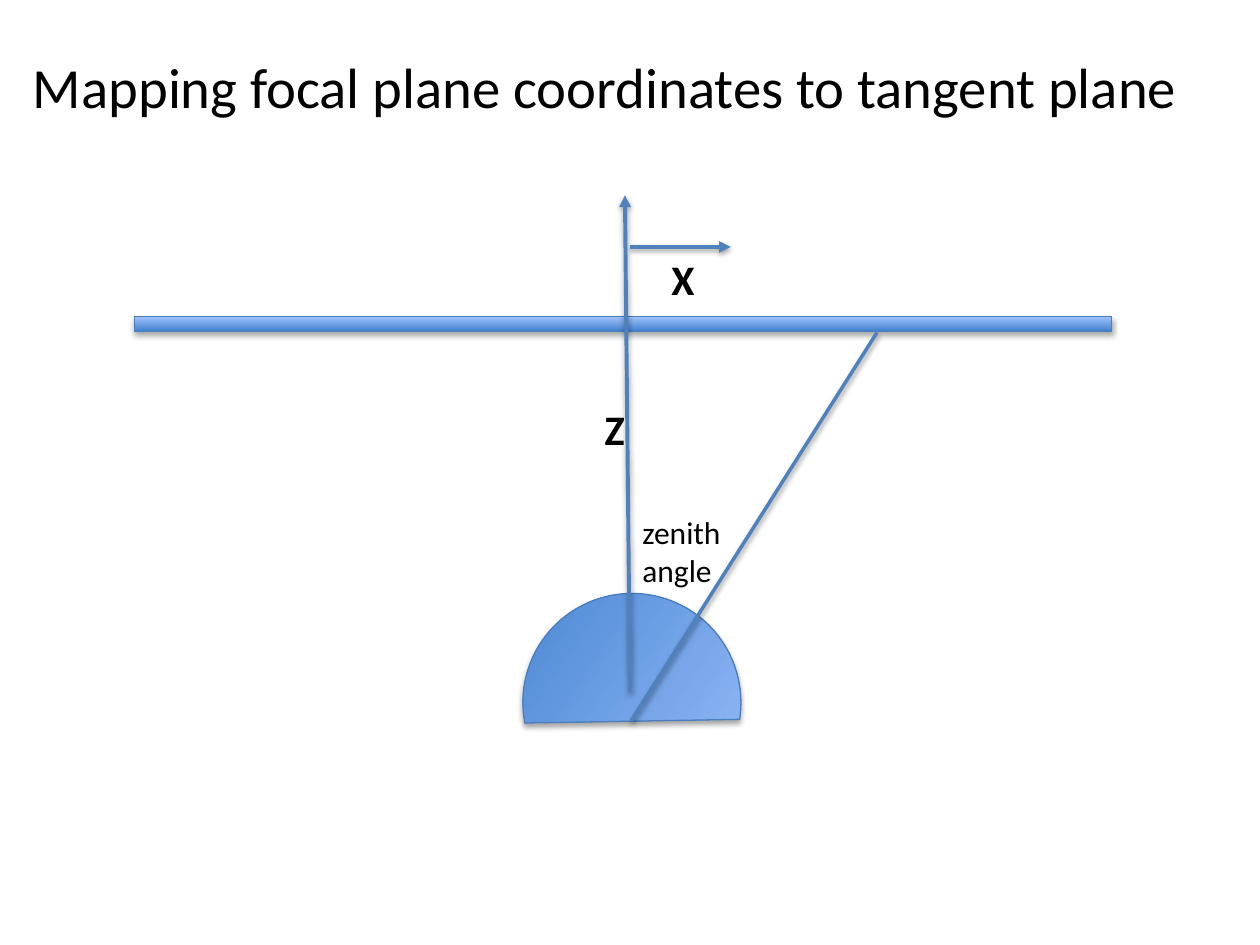
from lxml.etree import SubElement
from pptx import Presentation
from pptx.dml.color import RGBColor
from pptx.enum.shapes import MSO_CONNECTOR, MSO_SHAPE
from pptx.enum.text import MSO_ANCHOR, MSO_AUTO_SIZE, PP_ALIGN
from pptx.oxml.ns import qn
from pptx.util import Inches, Pt

FONT = "Calibri"
COLORS = {"text": "000000", "dark": "3F80CE", "light": "A4C4FF",
          "outline": "4B7EBC", "ray": "4F81BD", "shadow": "000000"}

# Content: places in inches
TITLE = ("Mapping focal plane coordinates to tangent plane", (0.13, 0.06, 9.34, 1.25), 32.4)
DOME = (MSO_SHAPE.CHORD, (4.15, 4.71, 1.73, 1.73), 124.1, (27, 146.895))
TANGENT_PLANE = (MSO_SHAPE.RECTANGLE, (1.07, 2.51, 7.75, 0.12), 0, ())
# start, end, width in points, arrowhead
Z_AXIS = ((5, 5.49), (4.96, 1.55), 2.25, True)
X_AXIS = ((5, 1.96), (5.8, 1.96), 2.25, True)
SIGHT_LINE = ((5.01, 5.72), (6.96, 2.64), 2, False)
# text, box, size in points, bold
Z_LABEL = ("Z", (4.7, 3.15, 0.36, 0.5), 24, True)
X_LABEL = ("X", (5.23, 1.96, 0.39, 0.5), 24, True)
ANGLE_LABEL = ("zenith\nangle", (5, 4.02, 0.84, 0.71), 18, False)


def color(name):
    return RGBColor.from_string(COLORS[name])


def inches(values):
    return [Inches(value) for value in values]


def add_shadow(shape, opacity, distance):
    effects = SubElement(shape._element.spPr, qn("a:effectLst"))
    shadow = SubElement(effects, qn("a:outerShdw"), blurRad=str(Pt(3.1)),
                        dist=str(Pt(distance)), dir="5400000", rotWithShape="0")
    tone = SubElement(shadow, qn("a:srgbClr"), val=COLORS["shadow"])
    SubElement(tone, qn("a:alpha"), val=str(opacity * 1000))


def add_body(slide, kind, box, rotation, adjustments):
    shape = slide.shapes.add_shape(kind, *inches(box))
    shape.rotation = rotation
    for index, value in enumerate(adjustments):
        shape.adjustments[index] = value
    shape.fill.gradient()
    shape.fill.gradient_angle = 90
    for stop, name, position in zip(shape.fill.gradient_stops, ("dark", "light"), (0, 1)):
        stop.color.rgb = color(name)
        stop.position = position
    shape.line.color.rgb = color("outline")
    shape.line.width = Pt(0.75)
    add_shadow(shape, 35, 1.8)


def add_ray(slide, start, end, width, arrow):
    ray = slide.shapes.add_connector(MSO_CONNECTOR.STRAIGHT, *inches(start + end))
    ray.line.color.rgb = color("ray")
    ray.line.width = Pt(width)
    if arrow:
        SubElement(ray.line._get_or_add_ln(), qn("a:tailEnd"), type="triangle")
    add_shadow(ray, 38, 1.6)


def write(text_frame, text, size, bold=False):
    text_frame.text = text
    for paragraph in text_frame.paragraphs:
        for run in paragraph.runs:
            run.font.name = FONT
            run.font.size = Pt(size)
            run.font.bold = bold
            run.font.color.rgb = color("text")


def add_label(slide, text, box, size, bold):
    text_frame = slide.shapes.add_textbox(*inches(box)).text_frame
    text_frame.word_wrap = False
    text_frame.auto_size = MSO_AUTO_SIZE.SHAPE_TO_FIT_TEXT
    write(text_frame, text, size, bold)


def main():
    presentation = Presentation()
    presentation.slide_width, presentation.slide_height = inches((10, 7.5))
    slide = presentation.slides.add_slide(presentation.slide_layouts[5])

    # Title
    text, box, size = TITLE
    title = slide.shapes.title
    title.left, title.top, title.width, title.height = inches(box)
    write(title.text_frame, text, size)
    title.text_frame.vertical_anchor = MSO_ANCHOR.MIDDLE
    title.text_frame.paragraphs[0].alignment = PP_ALIGN.CENTER

    # Diagram, from back to front
    add_body(slide, *DOME)
    add_body(slide, *TANGENT_PLANE)
    add_ray(slide, *Z_AXIS)
    add_label(slide, *Z_LABEL)
    add_label(slide, *X_LABEL)
    add_ray(slide, *X_AXIS)
    add_ray(slide, *SIGHT_LINE)
    add_label(slide, *ANGLE_LABEL)

    presentation.save("out.pptx")


if __name__ == "__main__":
    main()
